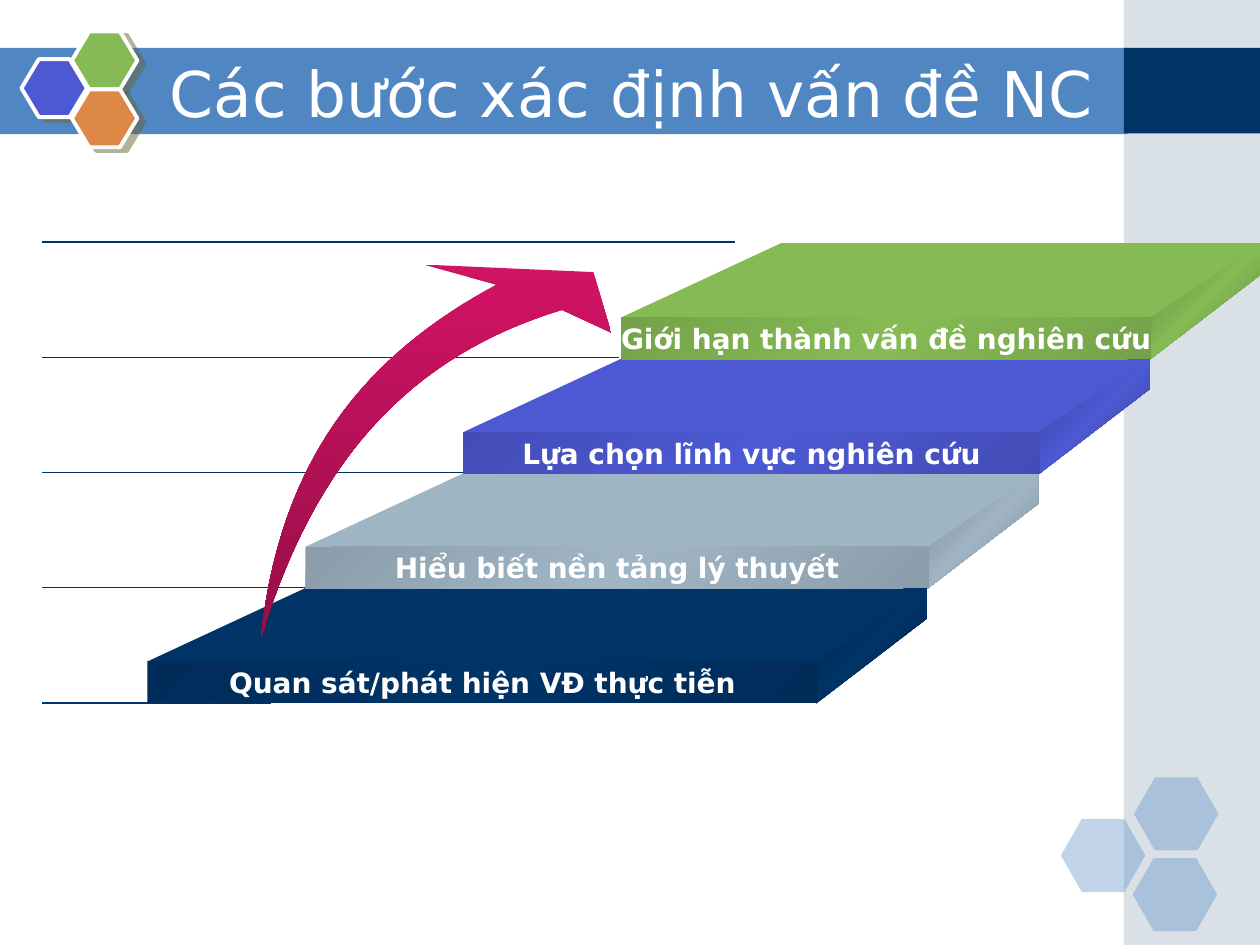
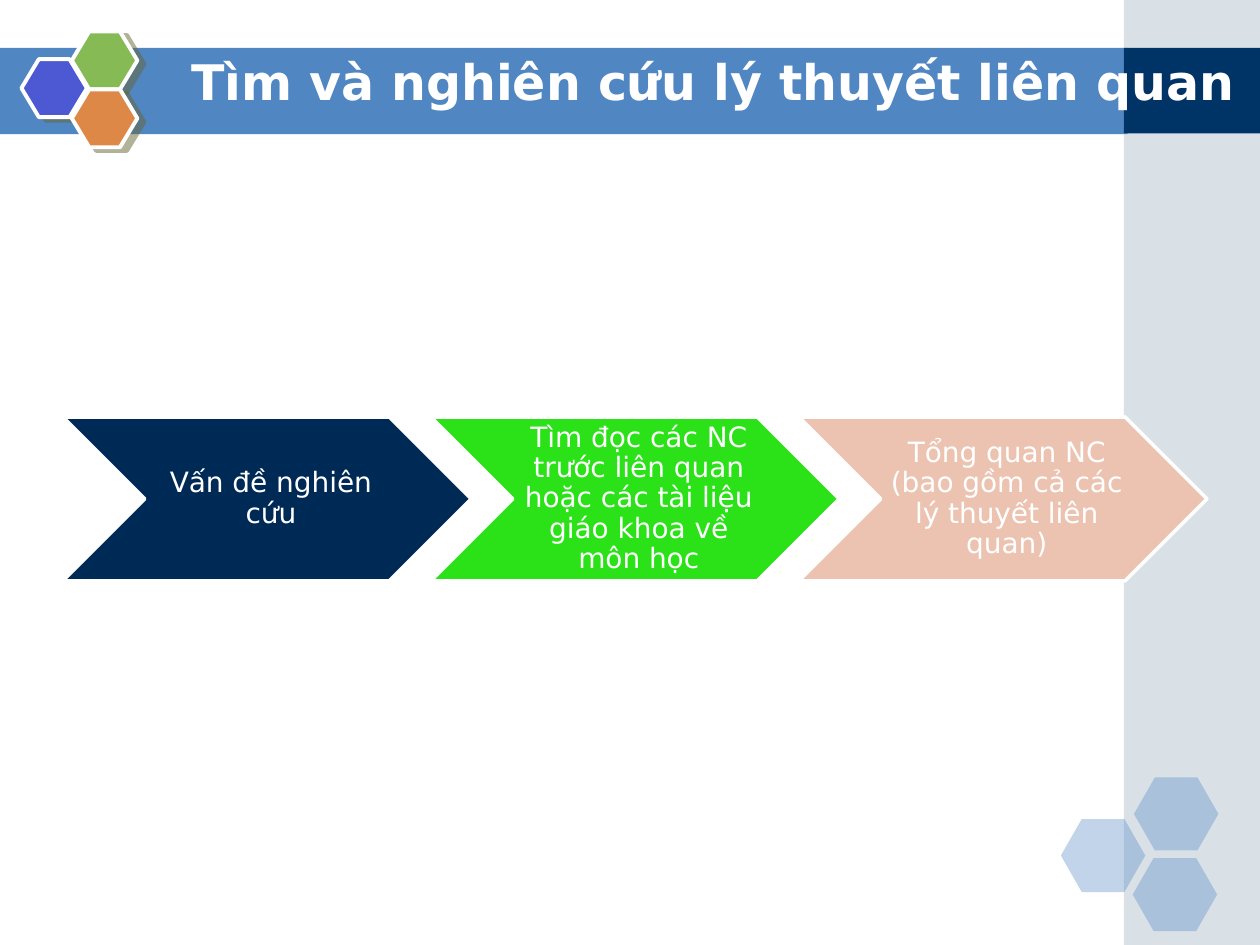
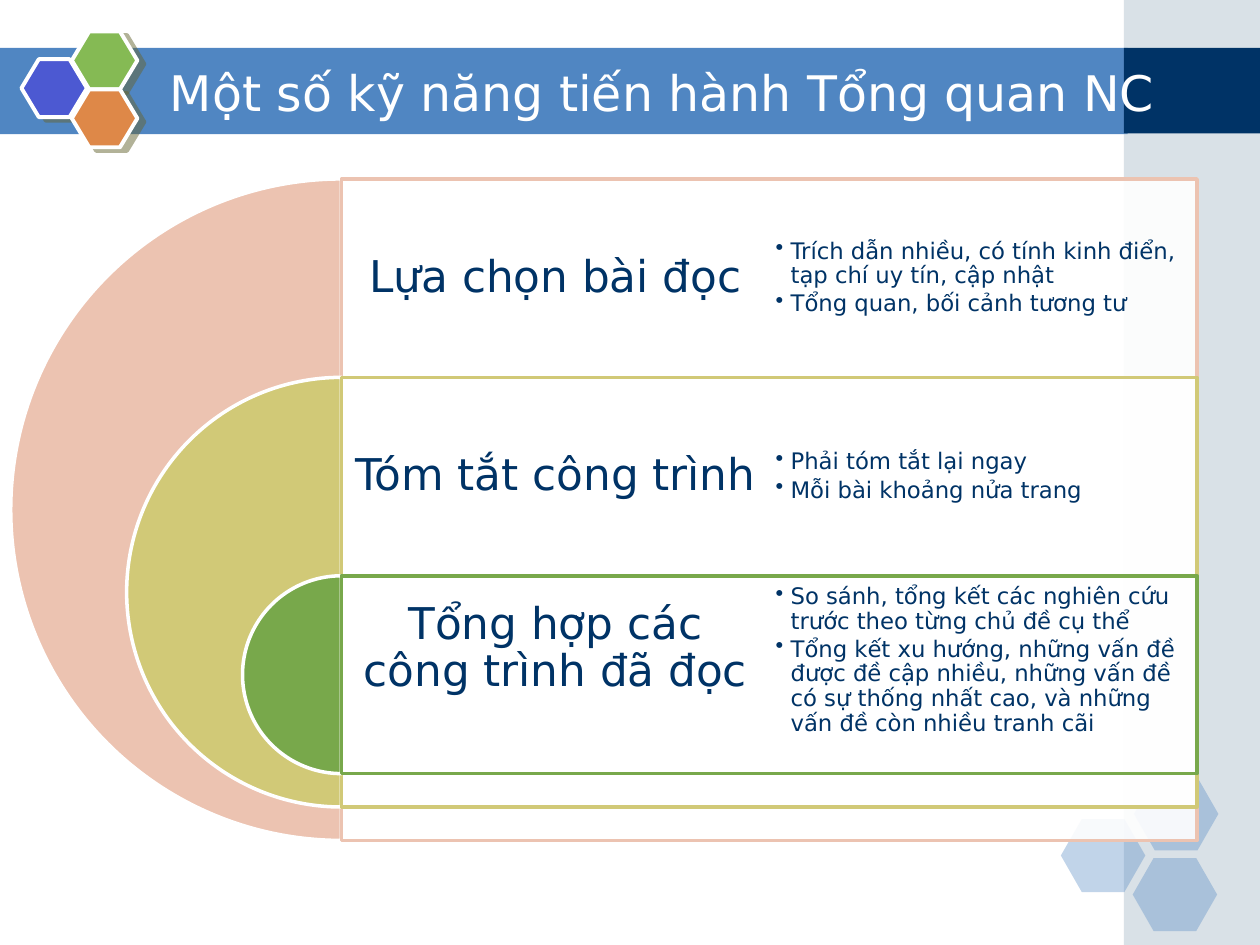
from dataclasses import dataclass

from lxml import etree
from pptx import Presentation
from pptx import util as u
from pptx.dml.color import RGBColor
from pptx.enum import shapes, text
from pptx.oxml import ns

FONT = "DejaVu Sans"
WHITE = RGBColor(0xFF, 0xFF, 0xFF)
NAVY = RGBColor(0x00, 0x33, 0x66)
BLUE = RGBColor(0x50, 0x86, 0xC2)
STEEL = RGBColor(0xA0, 0xB5, 0xC4)
INDIGO = RGBColor(0x4C, 0x59, 0xD2)
GREEN = RGBColor(0x85, 0xBA, 0x54)
ORANGE = RGBColor(0xDE, 0x88, 0x48)
KHAKI = RGBColor(0x66, 0x66, 0x33)
PINK = RGBColor(0xD1, 0x13, 0x64)
WINE = RGBColor(0x96, 0x0E, 0x48)
MIDNIGHT = RGBColor(0x00, 0x2A, 0x56)
LIME = RGBColor(0x2B, 0xE1, 0x18)
PEACH = RGBColor(0xEC, 0xC3, 0xB1)
SAND = RGBColor(0xD1, 0xC9, 0x77)
LEAF = RGBColor(0x78, 0xA8, 0x4B)

COLS, ROWS = 100, 75
WIDTH, HEIGHT = u.Inches(10), u.Inches(7.5)
SHAPE = shapes.MSO_SHAPE
CENTER = text.PP_ALIGN.CENTER

Point = tuple[float, float]


@dataclass(frozen=True)
class Box:
    left: float
    top: float
    width: float
    height: float

    def emu(self) -> tuple[int, int, int, int]:
        return col(self.left), row(self.top), col(self.width), row(self.height)


@dataclass(frozen=True)
class Hexagon:
    left: float
    top: float
    color: RGBColor


@dataclass(frozen=True)
class Step:
    label: str
    color: RGBColor


@dataclass(frozen=True)
class Stage:
    label: str
    color: RGBColor


@dataclass(frozen=True)
class Ring:
    label: str
    bullets: tuple[str, ...]
    color: RGBColor
    label_lift: float = 0
    bullet_lift: float = 0


BADGE = (Hexagon(1.7, 4.7, INDIGO), Hexagon(5.7, 2.5, GREEN), Hexagon(5.7, 7.1, ORANGE))
CORNER = (Hexagon(84.2, 65, BLUE), Hexagon(90, 61.7, BLUE), Hexagon(89.9, 68.1, BLUE))
STEPS = (
    Step("Quan sát/phát hiện VĐ thực tiễn", NAVY),
    Step("Hiểu biết nền tảng lý thuyết", STEEL),
    Step("Lựa chọn lĩnh vực nghiên cứu", INDIGO),
    Step("Giới hạn thành vấn đề nghiên cứu", GREEN),
)
STAGES = (
    Stage("Vấn đề nghiên cứu", MIDNIGHT),
    Stage("Tìm đọc các NC trước liên quan hoặc các tài liệu giáo khoa về môn học", LIME),
    Stage("Tổng quan NC (bao gồm cả các lý thuyết liên quan)", PEACH),
)
RINGS = (
    Ring("Lựa chọn bài đọc",
         ("Trích dẫn nhiều, có tính kinh điển, tạp chí uy tín, cập nhật",
          "Tổng quan, bối cảnh tương tư"), PEACH),
    Ring("Tóm tắt công trình",
         ("Phải tóm tắt lại ngay", "Mỗi bài khoảng nửa trang"), SAND),
    Ring("Tổng hợp các công trình đã đọc",
         ("So sánh, tổng kết các nghiên cứu trước theo từng chủ đề cụ thể",
          "Tổng kết xu hướng, những vấn đề được đề cập nhiều, những vấn đề có sự "
          "thống nhất cao, và những vấn đề còn nhiều tranh cãi"), LEAF, 4.2, 2.3),
)


def col(n: float) -> int:
    return round(WIDTH * n / COLS)


def row(n: float) -> int:
    return round(HEIGHT * n / ROWS)


def child(parent, tag: str, **attrs):
    return etree.SubElement(parent, ns.qn(tag), {k: str(v) for k, v in attrs.items()})


def shade(color: RGBColor, share: float) -> RGBColor:
    return RGBColor(*(round(c * share) for c in color))


def paint(s, color: RGBColor, opacity: int = 100,
          line: RGBColor | None = None, weight: float = 2) -> None:
    s.shadow.inherit = False
    s.fill.solid()
    s.fill.fore_color.rgb = color
    if opacity < 100:
        fill = s._element.spPr.find(ns.qn("a:solidFill"))
        child(fill[0], "a:alpha", val=opacity * 1000)
    if line is None:
        s.line.fill.background()
    else:
        s.line.color.rgb = line
        s.line.width = u.Pt(weight)


def paint_gradient(s, colors: list[RGBColor], angle: int) -> None:
    paint(s, colors[0])
    s.fill.gradient()
    grad = s._element.spPr.find(ns.qn("a:gradFill"))
    for part in list(grad):
        grad.remove(part)
    stops = child(grad, "a:gsLst")
    for i, color in enumerate(colors):
        stop = child(stops, "a:gs", pos=100000 * i // (len(colors) - 1))
        child(stop, "a:srgbClr", val=color)
    child(grad, "a:lin", ang=angle * 60000, scaled=0)


def paint_sheen(s, color: RGBColor, share: float) -> None:
    edge = shade(color, share)
    paint_gradient(s, [edge, color, edge], 45)


def add_shape(slide, kind, box: Box, *adjust: float):
    s = slide.shapes.add_shape(kind, *box.emu())
    for i, value in enumerate(adjust):
        s.adjustments[i] = value
    return s


def add_polygon(slide, points: list[Point]):
    corners = [(col(x), row(y)) for x, y in points]
    builder = slide.shapes.build_freeform(*corners[0])
    builder.add_line_segments(corners[1:], close=True)
    return builder.convert_to_shape()


def set_frame(tf, insets: tuple[float, ...] = (1, 0.5, 1, 0.5), wrap: bool = True) -> None:
    tf.word_wrap = wrap
    tf.vertical_anchor = text.MSO_ANCHOR.MIDDLE
    left, top, right, bottom = insets
    tf.margin_left, tf.margin_right = col(left), col(right)
    tf.margin_top, tf.margin_bottom = row(top), row(bottom)


def add_run(p, words: str, size: float, color: RGBColor = WHITE, bold: bool = False) -> None:
    r = p.add_run()
    r.text = words
    r.font.name = FONT
    r.font.size = u.Pt(size)
    r.font.bold = bold
    r.font.color.rgb = color


def add_label(slide, box: Box, words: str, size: float, color: RGBColor,
              insets: tuple[float, ...]) -> None:
    tf = slide.shapes.add_textbox(*box.emu()).text_frame
    set_frame(tf, insets)
    p = tf.paragraphs[0]
    p.alignment = CENTER
    p.line_spacing = 0.9
    add_run(p, words, size, color)


def add_bullets(slide, box: Box, items: tuple[str, ...], lift: float) -> None:
    tf = slide.shapes.add_textbox(*box.emu()).text_frame
    set_frame(tf, (0.5, 0.5, 0.5, 0.5 + lift))
    for i, item in enumerate(items):
        p = tf.add_paragraph() if i else tf.paragraphs[0]
        p.line_spacing = 0.9
        p.space_after = u.Pt(2)
        pPr = p._p.get_or_add_pPr()
        pPr.set("marL", str(col(1.2)))
        pPr.set("indent", str(-col(1.2)))
        child(pPr, "a:buChar", char="•")
        add_run(p, item, 13, NAVY)


def add_hexagon(slide, spec: Hexagon, width: float, height: float, adjust: float):
    return add_shape(slide, SHAPE.HEXAGON, Box(spec.left, spec.top, width, height), adjust)


def add_base(prs, title: str, box: Box, size: float, bold: bool = False):
    slide = prs.slides.add_slide(prs.slide_layouts[6])
    paint(add_shape(slide, SHAPE.RECTANGLE, Box(0, 3.8, 89.5, 6.85)), BLUE)
    paint(add_shape(slide, SHAPE.RECTANGLE, Box(89.2, 0, 10.8, ROWS)), STEEL, 40)
    paint(add_shape(slide, SHAPE.RECTANGLE, Box(89.2, 3.8, 10.8, 6.8)), NAVY)
    for item in CORNER:
        paint(add_hexagon(slide, item, 6.7, 5.8, 0.286), item.color, 35)
    for item in BADGE:
        s = add_hexagon(slide, item, 5.2, 4.6, 0.3)
        paint(s, item.color, line=WHITE, weight=2.25)
        effects = s._element.spPr.find(ns.qn("a:effectLst"))
        shadow = child(effects, "a:outerShdw", blurRad=0, dist=u.Pt(4.5),
                       dir=27 * 60000, algn="ctr", rotWithShape=0)
        child(child(shadow, "a:srgbClr", val=KHAKI), "a:alpha", val=50000)
    tf = slide.shapes.add_textbox(*box.emu()).text_frame
    set_frame(tf)
    add_run(tf.paragraphs[0], title, size, bold=bold)
    return slide


def bezier(a: Point, b: Point, c: Point, d: Point, count: int = 30) -> list[Point]:
    points = []
    for i in range(count + 1):
        t = i / count
        weights = ((1 - t) ** 3, 3 * t * (1 - t) ** 2, 3 * t * t * (1 - t), t ** 3)
        x, y = (sum(w * v for w, v in zip(weights, axis)) for axis in zip(a, b, c, d))
        points.append((x, y))
    return points


def add_level_lines(slide) -> None:
    for i in range(len(STEPS) + 1):
        y = row(55.8 - 9.15 * i)
        s = slide.shapes.add_connector(
            shapes.MSO_CONNECTOR.STRAIGHT, col(21.5 + 9.2 * i), y, col(3.3), y)
        s.line.color.rgb = NAVY
        s.line.width = u.Pt(0.75)
        child(s._element.spPr, "a:effectLst")


def add_step(slide, i: int, step: Step) -> None:
    left, right = 11.7 + 12.53 * i, 64.8 + 8.83 * i
    back = 46.6 - 9.1 * i
    front, bottom = back + 5.9, back + 9.2
    far = right + 8.75
    side = add_polygon(slide, [(far, back + 2.5), (right, bottom), (right, front), (far, back)])
    paint_sheen(side, step.color, 0.715)
    tread = add_polygon(slide, [(right, front), (left, front), (left + 12.7, back), (far, back)])
    paint(tread, step.color)
    riser = add_shape(slide, SHAPE.RECTANGLE, Box(left, front, right - left + 0.1, 3.3))
    paint_sheen(riser, step.color, 0.87)
    set_frame(riser.text_frame, wrap=False)
    p = riser.text_frame.paragraphs[0]
    p.alignment = CENTER
    add_run(p, step.label, 16, bold=True)


def build_steps(prs) -> None:
    slide = add_base(prs, "Các bước xác định vấn đề NC", Box(12.5, 4.2, 80.8, 6.2), 36)
    add_level_lines(slide)
    for i, step in enumerate(STEPS):
        add_step(slide, i, step)
    tail = (20.7, 50.7)
    outer = bezier(tail, (22.3, 35.2), (30.2, 27.6), (39.4, 22.6))
    head = [(33.6, 21), (47.1, 21.6), (48.5, 26.4)]
    inner = bezier((44.6, 24.6), (33.7, 27.9), (25.3, 35.3), tail)
    paint_gradient(add_polygon(slide, outer + head + inner), [PINK, WINE], 90)


def build_stages(prs) -> None:
    slide = add_base(prs, "Tìm và nghiên cứu lý thuyết liên quan",
                     Box(14.2, 3.3, 85.8, 6.2), 28, bold=True)
    for i, stage in enumerate(STAGES):
        left = 5 + 29.2 * i
        chevron = add_shape(slide, SHAPE.CHEVRON, Box(left, 33.1, 32.4, 13))
        paint(chevron, stage.color, line=WHITE)
        add_label(slide, Box(left + 6.5, 33.1, 19.5, 13), stage.label, 16, WHITE,
                  (0.7, 0.2, 0.2, 0.2))


def build_rings(prs) -> None:
    slide = add_base(prs, "Một số kỹ năng tiến hành Tổng quan NC",
                     Box(12.5, 4.2, 87.5, 6.2), 28)
    axis, half, band = 27.1, 33.95, 15.75
    for i, ring in enumerate(RINGS):
        top, size = 14.2 + band * i, 52.5 - 18.4 * i
        pie = add_shape(slide, SHAPE.PIE, Box(axis - size / 2, top, size, size), 54, 162)
        paint(pie, ring.color, line=WHITE)
        panel = add_shape(slide, SHAPE.RECTANGLE, Box(axis, top, 2 * half, size))
        paint(panel, WHITE, 90, ring.color)
        add_label(slide, Box(axis, top, half, band), ring.label, 25, NAVY,
                  (1, 1, 1, 1 + ring.label_lift))
        add_bullets(slide, Box(axis + half, top, half, band), ring.bullets, ring.bullet_lift)


def main() -> None:
    prs = Presentation()
    prs.slide_width, prs.slide_height = WIDTH, HEIGHT
    build_steps(prs)
    build_stages(prs)
    build_rings(prs)
    prs.save("out.pptx")


if __name__ == "__main__":
    main()
